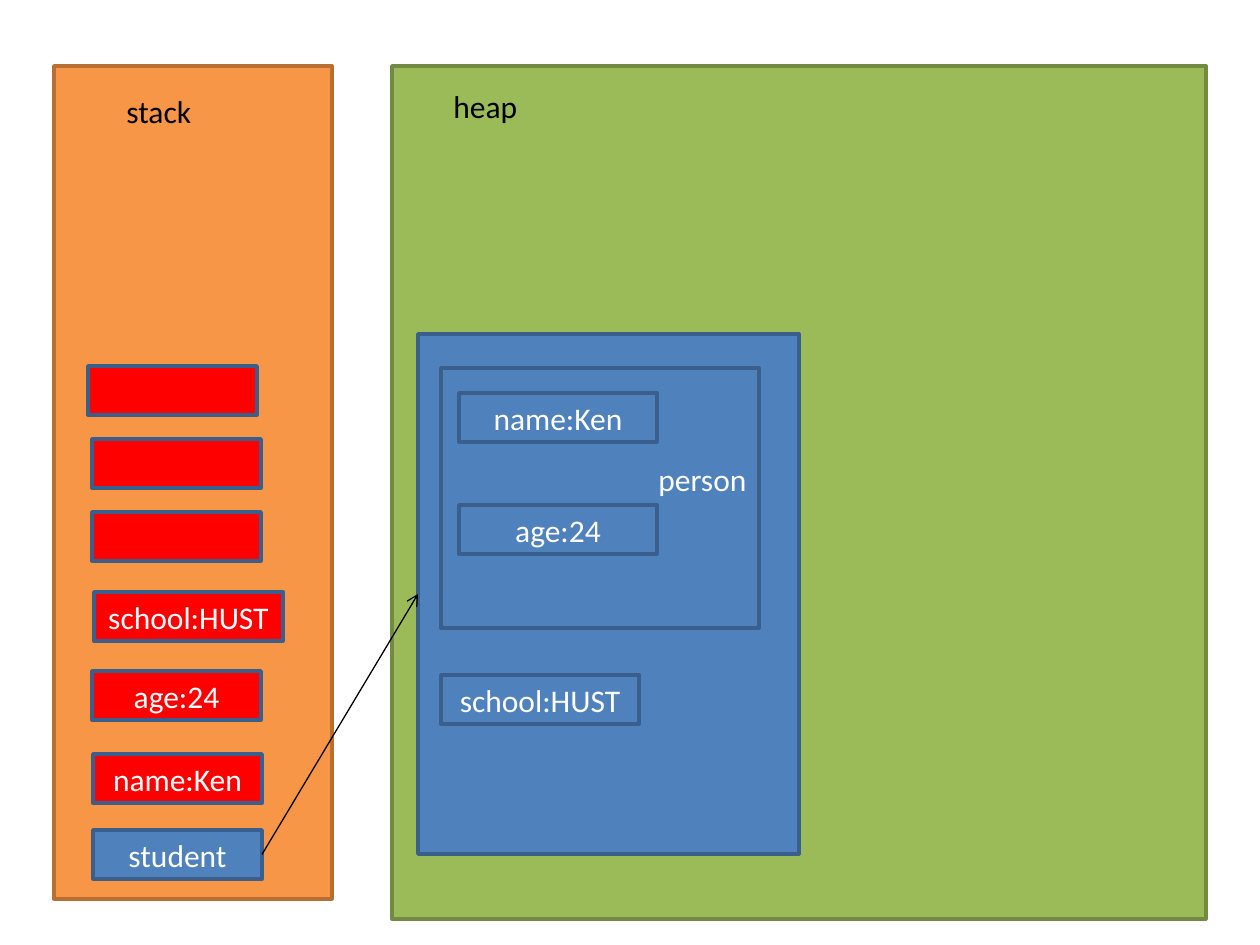
from lxml.etree import SubElement
from pptx import Presentation
from pptx.dml.color import RGBColor
from pptx.enum.shapes import MSO_CONNECTOR as Connector, MSO_SHAPE as Shape
from pptx.enum.text import MSO_ANCHOR as Anchor, PP_ALIGN as Align
from pptx.oxml.ns import qn
from pptx.util import Emu, Pt

SCALE = 914400 / 126
ORANGE, GREEN, BLUE, RED = "F79646", "9BBB59", "4F81BD", "FF0000"
BLUE_EDGE, WHITE, BLACK = "3A5F8C", "FFFFFF", "000000"
SLOT_HEIGHT = 49


def px(length):
    return Emu(round(length * SCALE))


def color(value):
    return RGBColor.from_string(value)


def write(box, text, ink=WHITE, align=Align.CENTER, anchor=Anchor.MIDDLE, bottom=6):
    frame = box.text_frame
    frame.word_wrap = True
    frame.vertical_anchor = anchor
    frame.margin_bottom = px(bottom)
    para = frame.paragraphs[0]
    para.alignment = align
    span = para.add_run()
    span.text = text
    span.font.name = "Calibri"
    span.font.size = Pt(18)
    span.font.color.rgb = color(ink)


def add_box(shapes, left, top, width, height, fill=BLUE, edge=BLUE_EDGE, text="", **style):
    box = shapes.add_shape(Shape.RECTANGLE, px(left), px(top), px(width), px(height))
    box.shadow.inherit = False
    if fill:
        box.fill.solid()
        box.fill.fore_color.rgb = color(fill)
    else:
        box.fill.background()
    box.line.color.rgb = color(edge)
    box.line.width = Pt(2)
    if text:
        write(box, text, **style)
    return box


def add_label(shapes, left, top, text):
    box = shapes.add_textbox(px(left), px(top), px(149), px(50))
    write(box, text, ink=BLACK, align=Align.LEFT, anchor=Anchor.TOP)


def add_reference(shapes, source, target):
    arrow = shapes.add_connector(Connector.STRAIGHT, 0, 0, 0, 0)
    arrow.begin_connect(source, 3)
    arrow.end_connect(target, 1)
    arrow.line.color.rgb = color(BLACK)
    arrow.line.width = Pt(0.75)
    SubElement(arrow.line._get_or_add_ln(), qn("a:tailEnd"), type="arrow")
    SubElement(arrow._element.spPr, qn("a:effectLst"))


def add_stack(shapes):
    add_box(shapes, 54, 66, 278, 833, ORANGE, "B76F34")
    add_label(shapes, 114, 86, "stack")
    slots = [
        (88, 366, 169, ""),
        (92, 439, 169, ""),
        (92, 512, 169, ""),
        (94, 592, 189, "school:HUST"),
        (92, 671, 169, "age:24"),
        (93, 754, 169, "name:Ken"),
    ]
    for left, top, width, text in slots:
        add_box(shapes, left, top, width, SLOT_HEIGHT, RED, text=text)
    return add_box(shapes, 93, 830, 169, SLOT_HEIGHT, text="student")


def add_heap(shapes):
    add_box(shapes, 392, 66, 814, 853, GREEN, "738A42")
    add_label(shapes, 441, 81, "heap")
    members = shapes.add_group_shape().shapes
    student = add_box(members, 418, 334, 381, 520)
    fields = [(441, 675, "school:HUST"), (459, 393, "name:Ken"), (459, 505, "age:24")]
    for left, top, text in fields:
        add_box(members, left, top, 198, SLOT_HEIGHT, text=text)
    add_box(members, 441, 368, 318, 260, fill=None, text="person", align=Align.RIGHT, bottom=44)
    return student


def main():
    deck = Presentation()
    deck.slide_width, deck.slide_height = px(1260), px(945)
    page = deck.slides.add_slide(deck.slide_layouts[6])
    student_object = add_heap(page.shapes)
    student_variable = add_stack(page.shapes)
    add_reference(page.shapes, student_variable, student_object)
    deck.save("out.pptx")


main()
